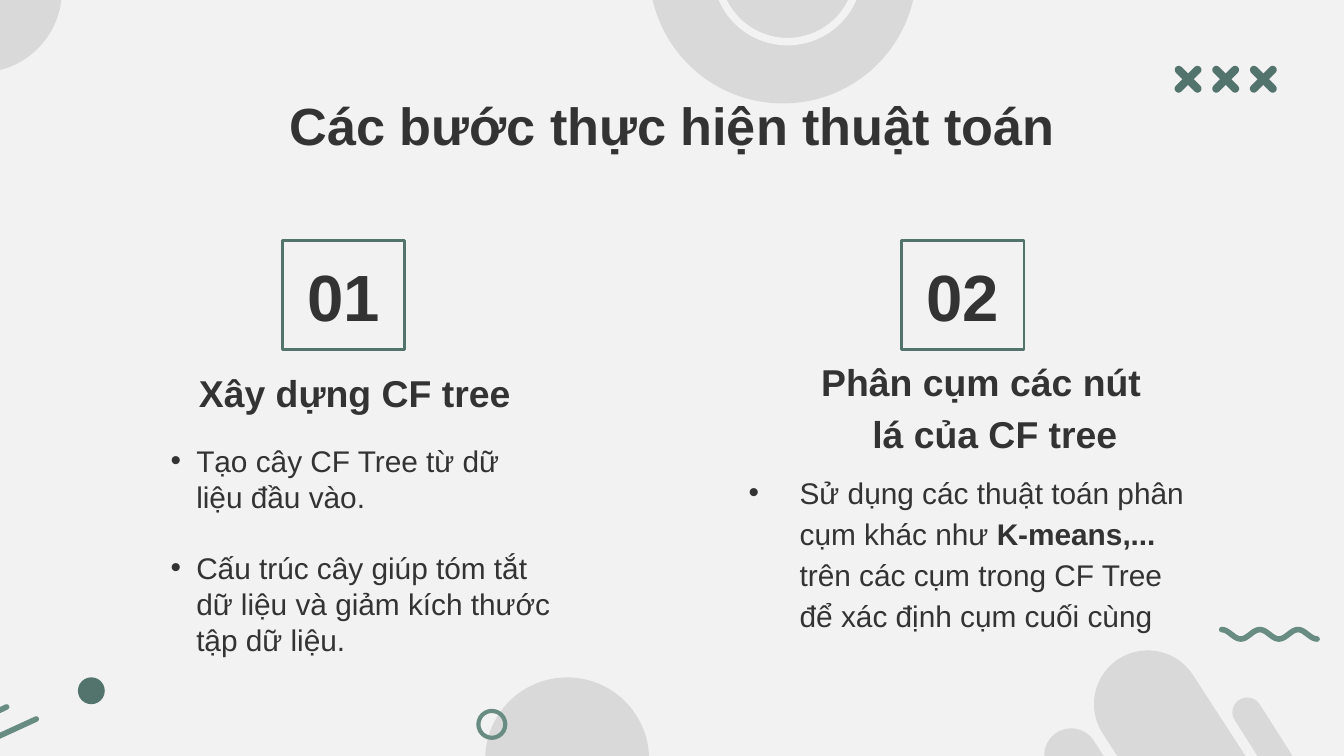
from math import atan2, cos, degrees, hypot, pi

from lxml.etree import SubElement
from pptx import Presentation
from pptx.dml.color import RGBColor
from pptx.enum.shapes import MSO_CONNECTOR, MSO_SHAPE
from pptx.enum.text import MSO_ANCHOR, MSO_AUTO_SIZE, PP_ALIGN
from pptx.oxml.ns import qn
from pptx.util import Inches, Pt

PAPER = RGBColor(0xF2, 0xF2, 0xF2)
GREY = RGBColor(0xD9, 0xD9, 0xD9)
GREEN = RGBColor(0x53, 0x74, 0x6D)
SOFT_GREEN = RGBColor(0x68, 0x8C, 0x82)
INK = RGBColor(0x33, 0x33, 0x33)

deck = Presentation()
deck.slide_width, deck.slide_height = Inches(10), Inches(5.625)
page = deck.slides.add_slide(deck.slide_layouts.get_by_name("Comparison"))
page.background.fill.solid()
page.background.fill.fore_color.rgb = PAPER


def add_figure(kind, left, top, width, height, fill=None, line=None, points=0):
    figure = page.shapes.add_shape(
        kind, Inches(left), Inches(top), Inches(width), Inches(height))
    figure.shadow.inherit = False
    if fill is None:
        figure.fill.background()
    else:
        figure.fill.solid()
        figure.fill.fore_color.rgb = fill
    if line is None:
        figure.line.fill.background()
    else:
        figure.line.color.rgb = line
        figure.line.width = Pt(points)
    return figure


def add_pill(x1, y1, x2, y2, radius, fill):
    """Draw a round-ended bar between the centres of its two end caps."""
    length = hypot(x2 - x1, y2 - y1) + 2 * radius
    pill = add_figure(MSO_SHAPE.ROUNDED_RECTANGLE, (x1 + x2 - length) / 2,
                      (y1 + y2) / 2 - radius, length, 2 * radius, fill)
    pill.adjustments[0] = 0.5
    pill.rotation = degrees(atan2(y2 - y1, x2 - x1))


# Background decoration
for x1, y1, x2, y2, radius in [(8.54, 5.24, 9.15, 6.18, 0.4),
                               (7.97, 5.62, 8.79, 6.9, 0.2),
                               (9.28, 5.3, 10.19, 6.73, 0.11)]:
    add_pill(x1, y1, x2, y2, radius, GREY)

for left, top, size, fill, line, points in [
        (4.83, -1.22, 1.99, GREY, None, 0),
        (5.33, -0.75, 1.06, None, PAPER, 4),
        (3.61, 5.04, 1.22, GREY, None, 0),
        (3.56, 5.29, 0.2, None, SOFT_GREEN, 2.25),
        (0.58, 5.04, 0.2, GREEN, None, 0),
        (-0.76, -0.68, 1.22, GREY, None, 0)]:
    add_figure(MSO_SHAPE.OVAL, left, top, size, size, fill, line, points)

for column in range(3):
    x, y, arm = 8.84 + 0.28 * column, 0.59, 0.07
    add_pill(x - arm, y - arm, x + arm, y + arm, 0.03, GREEN)
    add_pill(x - arm, y + arm, x + arm, y - arm, 0.03, GREEN)

# Wave of two and a half periods
steps = 50
wave_points = [(Inches(9.09 + 0.71 * step / steps),
                Inches(4.72 - 0.035 * cos(5 * pi * step / steps)))
               for step in range(steps + 1)]
builder = page.shapes.build_freeform(*wave_points[0])
builder.add_line_segments(wave_points[1:], close=False)
wave = builder.convert_to_shape()
wave.fill.background()
wave.shadow.inherit = False

strokes = [wave]
for ends in [(-0.1, 5.52, 0.27, 5.35), (-0.16, 5.36, 0.05, 5.26)]:
    stroke = page.shapes.add_connector(
        MSO_CONNECTOR.STRAIGHT, *[Inches(value) for value in ends])
    SubElement(stroke.element.spPr, qn("a:effectLst"))
    strokes.append(stroke)
for stroke in strokes:
    stroke.line.color.rgb = SOFT_GREEN
    stroke.line.width = Pt(3)
    stroke.line._get_or_add_ln().set("cap", "rnd")

# Numbered squares
for number, left in [("01", 2.1), ("02", 6.71)]:
    square = add_figure(MSO_SHAPE.RECTANGLE, left, 1.79, 0.91, 0.81,
                        line=GREEN, points=1.5)
    square.text_frame.text = number
    square.text_frame.vertical_anchor = MSO_ANCHOR.MIDDLE
    para = square.text_frame.paragraphs[0]
    para.alignment = PP_ALIGN.CENTER
    para.font.size, para.font.bold = Pt(35), True
    para.font.name, para.font.color.rgb = "Arial", INK

# Title, headings and lists: placeholder index, box, anchor, inset,
# (left margin, first-line indent), spacing, size, bold, paragraphs of spans
TOP, BOTTOM = MSO_ANCHOR.TOP, MSO_ANCHOR.BOTTOM
texts = [
    (0, (0.78, 0.59, 8.44, 0.61), TOP, 0.1, (0, 0), 1, 28, True,
     [["Các bước thực hiện thuật toán"]]),
    (1, (1.26, 2.78, 3.04, 0.41), BOTTOM, 0.1, (0.5, -0.38), 1.15, 20, True,
     [["Xây dựng CF tree"]]),
    (2, (1.17, 2.95, 3.04, 1.99), BOTTOM, 0.05, (0.19, -0.19), 1, 16, False,
     [["Tạo cây CF Tree từ dữ liệu đầu vào."],
      ["Cấu trúc cây giúp tóm tắt dữ liệu và giảm kích thước tập dữ liệu."]]),
    (3, (5.89, 2.56, 2.85, 0.93), BOTTOM, 0.1, (0.5, -0.38), 1.15, 20, True,
     [["Phân cụm các nút lá của CF tree"]]),
    (4, (5.35, 3.39, 3.62, 1.32), TOP, 0.1, (0.5, -0.38), 1.15, 16, False,
     [["Sử dụng các thuật toán phân cụm khác như ", "K-means,...",
       " trên các cụm trong CF Tree để xác định cụm cuối cùng"]]),
]
holders = {holder.placeholder_format.idx: holder for holder in page.placeholders}
for index, area, anchor, inset, indents, spacing, size, bold, paragraphs in texts:
    box = holders[index]
    box.left, box.top, box.width, box.height = [Inches(value) for value in area]
    box.element.getparent().append(box.element)  # in front of the decoration
    frame = box.text_frame
    frame.word_wrap, frame.auto_size = True, MSO_AUTO_SIZE.NONE
    frame.vertical_anchor = anchor
    frame.margin_top = frame.margin_bottom = Inches(inset)
    frame.margin_left = frame.margin_right = Inches(0.1)
    for position, spans in enumerate(paragraphs):
        para = frame.add_paragraph() if position else frame.paragraphs[0]
        para.alignment = PP_ALIGN.CENTER if index == 0 else PP_ALIGN.LEFT
        para.line_spacing = spacing
        para.space_before = Pt(19 if position else 0)
        para.font.name, para.font.color.rgb = "Arial", INK
        para.font.size, para.font.bold = Pt(size), bold
        properties = para._p.get_or_add_pPr()
        properties.set("marL", str(Inches(indents[0])))
        properties.set("indent", str(Inches(indents[1])))
        for text in spans:
            span = para.add_run()
            span.text = text
            if text.startswith("K-means"):
                span.font.bold = True

deck.save("out.pptx")
